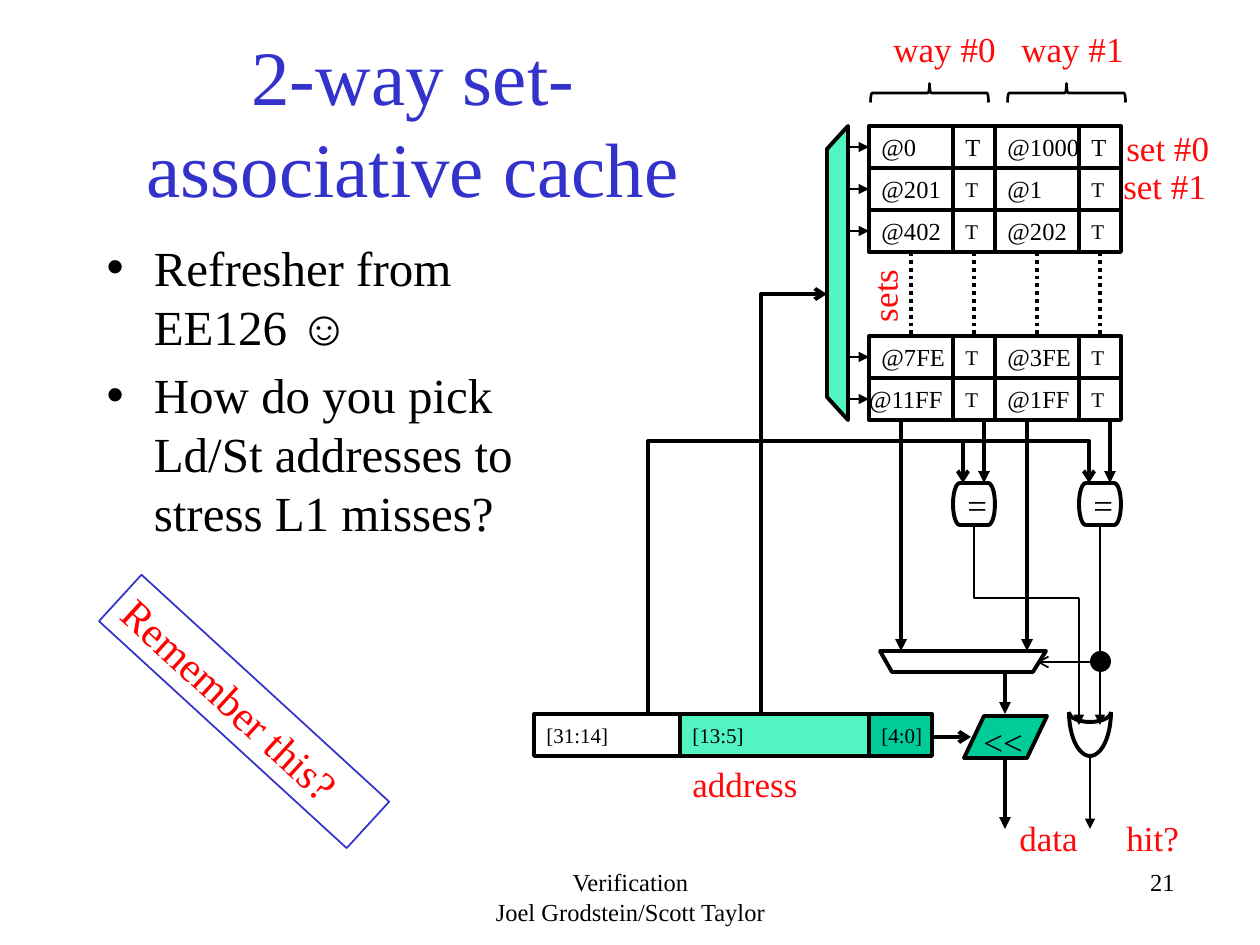
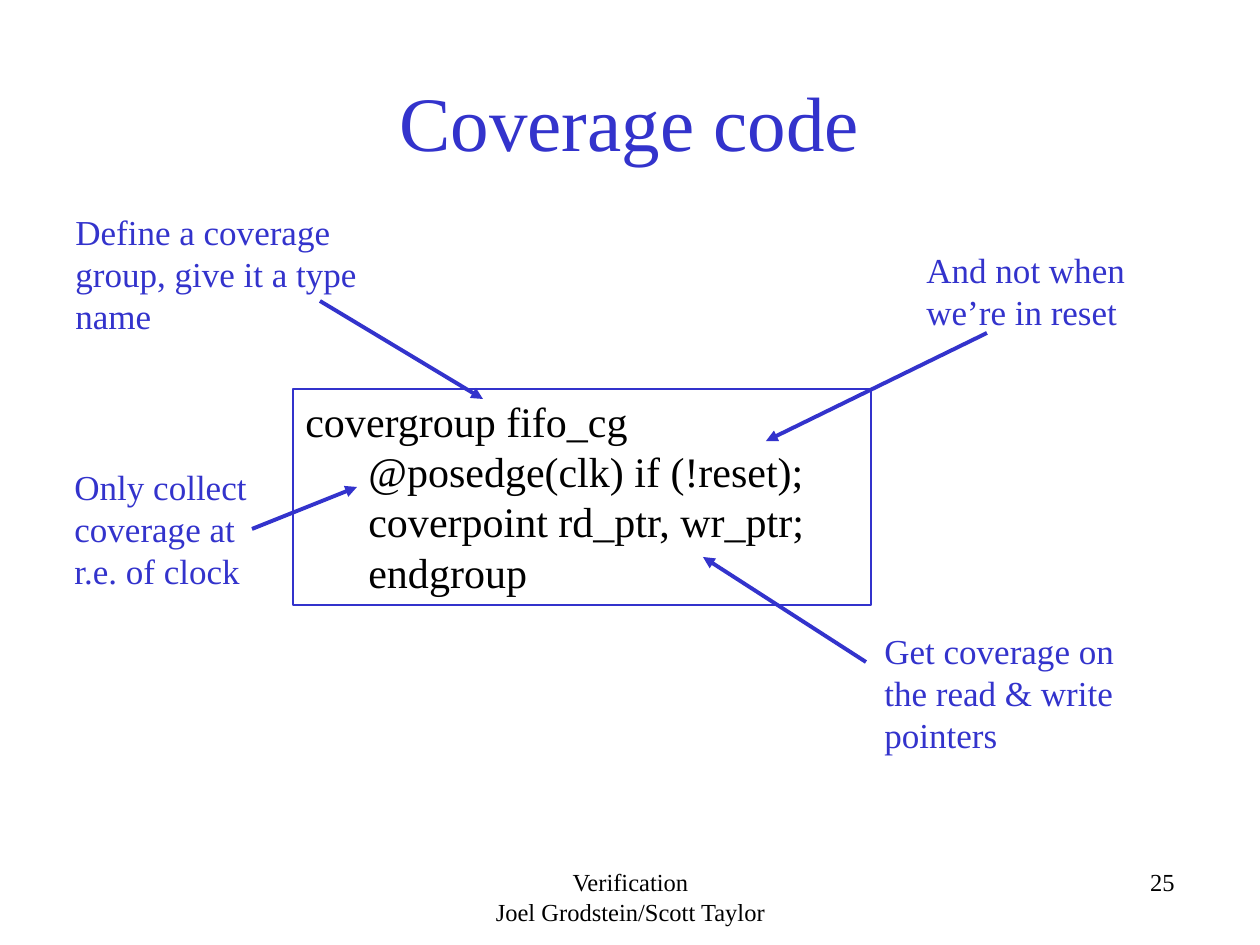
from math import cos, pi, sin

from pptx import Presentation
from pptx.dml.color import RGBColor
from pptx.enum.dml import MSO_LINE
from pptx.enum.shapes import MSO_CONNECTOR, MSO_SHAPE
from pptx.enum.text import MSO_ANCHOR as ANCHOR, MSO_AUTO_SIZE as AUTO, PP_ALIGN as ALIGN
from pptx.oxml.ns import qn
from pptx.util import Emu, Inches, Pt
from lxml.etree import SubElement

PX = 914400 / 126
FONT = "Times New Roman"
BLACK, BLUE, RED = "000000", "3333CC", "FF0909"
MINT, GREEN = "52F4C2", "00CC99"
THIN, THICK = 1, 2.25
CELL = 42
WAYS = (869, 995)
TAG_WIDTH = 84


def px(*lengths):
    return [Emu(round(length * PX)) for length in lengths]


def color(value):
    return RGBColor.from_string(value)


def write(shape, text, size=20, ink=BLACK, align=ALIGN.LEFT,
          anchor=ANCHOR.TOP, wrap=True, side_inset=None):
    frame = shape.text_frame
    frame.auto_size = AUTO.NONE
    frame.word_wrap = wrap
    frame.vertical_anchor = anchor
    if side_inset is not None:
        frame.margin_left = frame.margin_right = side_inset
    for index, line in enumerate(text.split("\n")):
        paragraph = frame.add_paragraph() if index else frame.paragraphs[0]
        paragraph.alignment = align
        run = paragraph.add_run()
        run.text = line
        run.font.name = FONT
        run.font.size = Pt(size)
        run.font.color.rgb = color(ink)
    return shape


def style(shape, fill=None, line=BLACK, weight=THICK):
    shape.shadow.inherit = False
    if fill:
        shape.fill.solid()
        shape.fill.fore_color.rgb = color(fill)
    else:
        shape.fill.background()
    if line:
        shape.line.color.rgb = color(line)
        shape.line.width = Pt(weight)
    else:
        shape.line.fill.background()
    return shape


def block(slide, kind, box, rotation=0, **look):
    shape = slide.shapes.add_shape(kind, *px(*box))
    shape.rotation = rotation
    return style(shape, **look)


def label(slide, text, box, rotation=0, **format):
    caption = slide.shapes.add_textbox(*px(*box))
    caption.rotation = rotation
    return write(caption, text, **format)


def point_at_end(shape, head):
    SubElement(shape.element.spPr.find(qn("a:ln")), qn("a:tailEnd"), type=head)


def wire(slide, start, end, weight=THICK, ink=BLACK, head="triangle", dash=None):
    connector = slide.shapes.add_connector(MSO_CONNECTOR.STRAIGHT, *px(*start, *end))
    connector.line.color.rgb = color(ink)
    connector.line.width = Pt(weight)
    if dash:
        connector.line.dash_style = dash
    if head:
        point_at_end(connector, head)
    SubElement(connector.element.spPr, qn("a:effectLst"))


def outline(slide, points, closed=False, head=None, **look):
    fine = [(round(x * 100), round(y * 100)) for x, y in points]
    builder = slide.shapes.build_freeform(*fine[0], scale=PX / 100)
    builder.add_line_segments(fine[1:], close=closed)
    shape = style(builder.convert_to_shape(), **look)
    if head:
        point_at_end(shape, head)


def cell(slide, text, x, y, width, size=14, **format):
    look = {"fill": format.pop("fill", None)}
    shape = block(slide, MSO_SHAPE.RECTANGLE, (x, y, width, CELL), **look)
    write(shape, text, size=size, anchor=ANCHOR.MIDDLE, wrap=False, **format)


def place(placeholder, box):
    (placeholder.left, placeholder.top,
     placeholder.width, placeholder.height) = px(*box)
    return placeholder


def start_slide(deck, layout, title, title_width, number):
    slide = deck.slides.add_slide(deck.slide_layouts[layout])
    write(place(slide.shapes.title, (94, 42, title_width, 158)), title, size=44,
          ink=BLUE, align=ALIGN.CENTER, anchor=ANCHOR.MIDDLE)
    label(slide, "Verification\nJoel Grodstein/Scott Taylor", (431, 861, 399, 63),
          size=14, align=ALIGN.CENTER)
    label(slide, number, (788, 861, 399, 63), size=14, align=ALIGN.RIGHT)
    return slide


def draw_cache_sets(slide):
    outline(slide, [(848, 126), (848, 420), (827, 397), (827, 149)],
            closed=True, fill=MINT)
    cache_sets = [(126, "@0", "@1000"), (168, "@201", "@1"), (210, "@402", "@202"),
                  (336, "@7FE", "@3FE"), (378, "@11FF", "@1FF")]
    for top, *tags in cache_sets:
        middle = top + CELL / 2
        wire(slide, (848, middle), (869, middle), weight=THIN)
        for left, tag in zip(WAYS, tags):
            cell(slide, tag, left, top, TAG_WIDTH,
                 side_inset=0 if tag == "@11FF" else None)
            cell(slide, "T", left + TAG_WIDTH, top, CELL, size=14 if top == 126 else 12)
    for index, left in enumerate(WAYS):
        for x in (left + 42, left + 105):
            wire(slide, (x, 252), (x, 336), head=None, dash=MSO_LINE.ROUND_DOT)
        label(slide, f"way #{index}", (881 + 128 * index, 21, 130, 55),
              ink=RED, wrap=False)
        block(slide, MSO_SHAPE.LEFT_BRACE, (920 + 137 * index, 34, 19, 118),
              rotation=90, weight=1.5)


def draw_hit_logic(slide):
    for left in WAYS:
        comparator = block(slide, MSO_SHAPE.FLOWCHART_TERMINATOR,
                           (left + TAG_WIDTH, 483, CELL, CELL))
        write(comparator, "=", anchor=ANCHOR.MIDDLE, wrap=False)
        wire(slide, (left + 115, 420), (left + 115, 483))
        wire(slide, (left + 32, 420), (left + 32, 651))
    outline(slide, [(974, 525), (974, 598), (1079, 598)], weight=THIN)
    wire(slide, (1079, 598), (1079, 725), weight=THIN)
    wire(slide, (1100, 525), (1100, 725), weight=THIN)
    outline(slide, [(1100, 630), (1100, 662), (1037, 662)], head="arrow", weight=THIN)
    block(slide, MSO_SHAPE.FLOWCHART_CONNECTOR, (1090, 651, 21, 21),
          fill=BLACK, line=None)
    quarter = [step * pi / 24 for step in range(13)]
    for depth in (10, 44):
        for side in (-21, 21):
            outline(slide, [(1090 + side * sin(t), 712 + depth * cos(t))
                            for t in quarter])
    wire(slide, (1090, 756), (1090, 829), weight=THIN)


def draw_data_path(slide):
    outline(slide, [(648, 714), (648, 441), (963, 441), (963, 483)], head="arrow")
    outline(slide, [(963, 441), (1089, 441), (1089, 483)], head="arrow")
    outline(slide, [(761, 714), (761, 294), (827, 294)], head="arrow")
    for bits, left, right, fill in [("[31:14]", 534, 680, None),
                                    ("[13:5]", 680, 869, MINT),
                                    ("[4:0]", 869, 932, GREEN)]:
        cell(slide, bits, left, 714, right - left, size=12, fill=fill)
    outline(slide, [(880, 651), (1046, 651), (1033, 672), (892, 672)], closed=True)
    outline(slide, [(984, 716), (964, 758), (1027, 758), (1047, 716)],
            closed=True, fill=GREEN)
    label(slide, "<<", (971, 714, 67, 54), wrap=False)
    wire(slide, (921 + 11, 737), (971, 737), head="arrow")
    wire(slide, (1005, 672), (1005, 714))
    wire(slide, (1005, 758), (1005, 829))


def build_cache_slide(deck):
    slide = start_slide(deck, 1, "2-way set-associative cache", 638, "21")
    write(place(slide.placeholders[1], (94, 231, 462, 609)),
          "Refresher from EE126 \u263a\n"
          "How do you pick Ld/St addresses to stress L1 misses?", size=28)
    draw_hit_logic(slide)
    draw_data_path(slide)
    draw_cache_sets(slide)
    for text, box, rotation in [("set #0", (1114, 120, 115, 55), 0),
                                ("set #1", (1111, 158, 115, 55), 0),
                                ("sets", (839, 263, 89, 54), 270),
                                ("address", (680, 756, 150, 54), 0),
                                ("data", (1007, 810, 93, 54), 0),
                                ("hit?", (1114, 810, 82, 54), 0)]:
        label(slide, text, box, rotation, ink=RED, wrap=False)
    reminder = block(slide, MSO_SHAPE.RECTANGLE, (76, 680, 336, 63),
                     rotation=42.5, line=BLUE, weight=THIN)
    write(reminder, "Remember this?", size=24, ink="FF0000")


def build_coverage_slide(deck):
    slide = start_slide(deck, 5, "Coverage code", 1071, "25")
    code = block(slide, MSO_SHAPE.RECTANGLE, (293, 389, 578, 216),
                 line=BLUE, weight=0.75)
    write(code, "covergroup fifo_cg\n@posedge(clk) if (!reset);\n"
                "coverpoint rd_ptr, wr_ptr;\nendgroup", size=24)
    for statement in list(code.element.iter(qn("a:p")))[1:]:
        statement.get_or_add_pPr().set("marL", str(Inches(0.5)))
    for remark, box, start, end in [
            ("Define a coverage group, give it a type name",
             (63, 204, 315, 140), (320, 301), (483, 399)),
            ("Get coverage on the read & write pointers",
             (872, 623, 305, 140), (866, 662), (703, 557)),
            ("Only collect coverage at r.e. of clock",
             (62, 459, 210, 140), (252, 529), (357, 487)),
            ("And not when we\u2019re in reset",
             (914, 242, 252, 97), (987, 333), (766, 441))]:
        label(slide, remark, box, ink=BLUE)
        wire(slide, start, end, ink=BLUE)


def main():
    deck = Presentation()
    deck.slide_width, deck.slide_height = px(1260, 945)
    build_cache_slide(deck)
    build_coverage_slide(deck)
    deck.save("out.pptx")


main()
